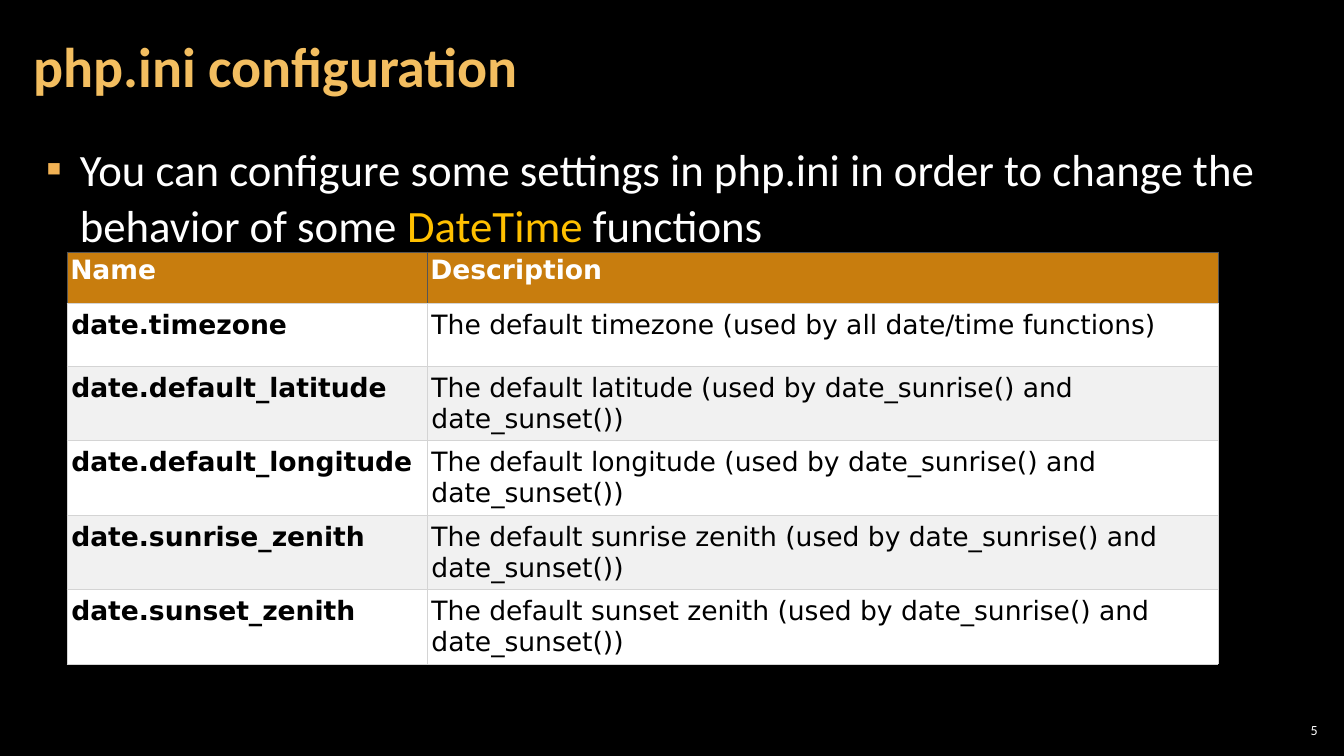
from dataclasses import dataclass

from lxml.etree import SubElement
from pptx import Presentation
from pptx.dml.color import RGBColor
from pptx.enum.text import MSO_ANCHOR, MSO_AUTO_SIZE, PP_ALIGN
from pptx.oxml.ns import qn
from pptx.util import Pt


@dataclass(frozen=True)
class Theme:
    back: str = "000000"
    title: str = "F3BE60"
    text: str = "FFFFFF"
    mark: str = "FFC000"
    bullet: str = "F2B254"
    head: str = "C87D0E"
    ink: str = "000000"
    bands: tuple = ("FFFFFF", "F1F1F1")
    edge: str = "555555"
    rule: str = "D4D4D4"
    font: str = "Calibri"
    mono: str = "DejaVu Sans"
    big: int = 40
    list: int = 32
    cell: int = 19
    small: int = 10


THEME = Theme()
SCALE = 9525  # EMU in one px
HEADS = ("Name", "Description")
ROWS = (
    ("date.timezone", "The default timezone (used by all date/time functions)"),
    ("date.default_latitude", "The default latitude (used by date_sunrise() and date_sunset())"),
    ("date.default_longitude", "The default longitude (used by date_sunrise() and date_sunset())"),
    ("date.sunrise_zenith", "The default sunrise zenith (used by date_sunrise() and date_sunset())"),
    ("date.sunset_zenith", "The default sunset zenith (used by date_sunrise() and date_sunset())"),
)


def px(count):
    return count * SCALE


def apply(item, **values):
    for name, value in values.items():
        setattr(item, name, value)


def place(shape, box):
    for name, length in zip(("left", "top", "width", "height"), box):
        setattr(shape, name, px(length))


def pad(item, side, edge):
    apply(item, margin_left=px(side), margin_right=px(side),
          margin_top=px(edge), margin_bottom=px(edge))


def write(para, text, size, color, bold=False, font=THEME.font):
    run = para.add_run()
    run.text = text
    apply(run.font, size=Pt(size), name=font, bold=bold)
    run.font.color.rgb = RGBColor.from_string(color)


def frame(shape, box, side, anchor):
    """Place a text shape and return its first paragraph."""
    place(shape, box)
    text = shape.text_frame
    apply(text, word_wrap=True, auto_size=MSO_AUTO_SIZE.NONE, vertical_anchor=anchor)
    pad(text, side, 4)
    return text.paragraphs[0]


def add_title(slide, box):
    para = frame(slide.shapes.title, box, 12, MSO_ANCHOR.MIDDLE)
    para.alignment = PP_ALIGN.LEFT
    write(para, "php.ini configuration", THEME.big, THEME.title, True)


def add_list(slide, box):
    para = frame(slide.placeholders[1], box, 12, MSO_ANCHOR.TOP)
    apply(para, line_spacing=1.05, space_before=Pt(6), space_after=Pt(6))
    # Square bullet with a hanging indent
    props = para._p.get_or_add_pPr()
    props.set("marL", str(px(32)))
    props.set("indent", str(px(-32)))
    SubElement(SubElement(props, qn("a:buClr")), qn("a:srgbClr"), val=THEME.bullet)
    SubElement(props, qn("a:buFont"), typeface=THEME.font)
    SubElement(props, qn("a:buChar"), char="▪")
    for text, color in (
        ("You can configure some settings in php.ini in order to change the behavior of some ",
         THEME.text),
        ("DateTime", THEME.mark),
        (" functions", THEME.text),
    ):
        write(para, text, THEME.list, color)


def add_edges(cell, colors):
    props = cell._tc.get_or_add_tcPr()
    for side, color in zip("LRTB", colors):
        line = SubElement(props, qn(f"a:ln{side}"), w=str(Pt(0.75)))
        fill = SubElement(line, qn("a:solidFill"))
        SubElement(fill, qn("a:srgbClr"), val=color)


def fill_cell(cell, text, color, back, bold, edges, side, edge):
    add_edges(cell, edges)
    cell.fill.solid()
    cell.fill.fore_color.rgb = RGBColor.from_string(back)
    pad(cell, side, edge)
    write(cell.text_frame.paragraphs[0], text, THEME.cell, color, bold, THEME.mono)


def add_grid(slide, box):
    left, top, width, height = box
    grid = slide.shapes.add_table(len(ROWS) + 1, len(HEADS), *map(px, box)).table
    first, head = 343, 49
    for col, size in zip(grid.columns, (first, width - first)):
        col.width = px(size)
    step = (height - head) // len(ROWS)
    for num, row in enumerate(grid.rows):
        row.height = px(step if num else head)
    # Header row
    for num, text in enumerate(HEADS):
        edges = [THEME.edge] * 3 + [THEME.rule]
        fill_cell(grid.cell(0, num), text, THEME.text, THEME.head, True, edges, 3, 3)
    # Banded rows
    for line, row in enumerate(ROWS):
        for num, text in enumerate(row):
            fill_cell(grid.cell(line + 1, num), text, THEME.ink, THEME.bands[line % 2],
                      num == 0, [THEME.rule] * 4, 4, 6)


def add_page(slide, box):
    para = frame(slide.shapes.add_textbox(0, 0, 0, 0), box, 4, MSO_ANCHOR.MIDDLE)
    para.alignment = PP_ALIGN.RIGHT
    write(para, "5", THEME.small, THEME.text)


def main():
    deck = Presentation()
    apply(deck, slide_width=px(1280), slide_height=px(720))
    slide = deck.slides.add_slide(deck.slide_layouts[1])
    slide.background.fill.solid()
    slide.background.fill.fore_color.rgb = RGBColor.from_string(THEME.back)
    add_title(slide, (20, 4, 1005, 116))
    add_list(slide, (32, 128, 1239, 585))
    add_grid(slide, (64, 240, 1096, 349))
    add_page(slide, (1214, 685, 45, 20))
    deck.save("out.pptx")


if __name__ == "__main__":
    main()
